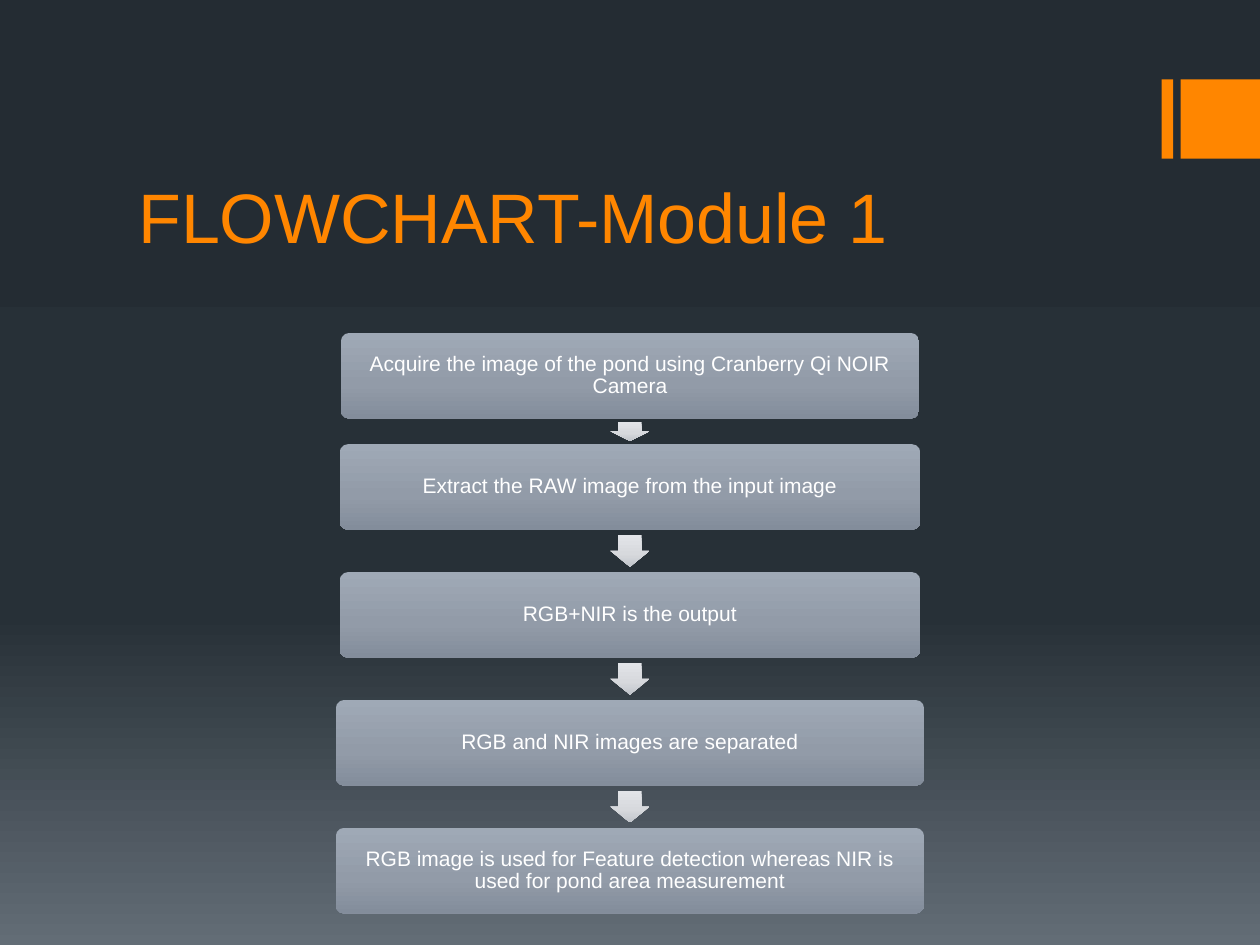
"""Build the Module 1 flowchart slide."""
from dataclasses import dataclass
from itertools import pairwise

from lxml import etree
from pptx import Presentation
from pptx.dml.color import RGBColor
from pptx.dml.fill import FillFormat
from pptx.enum.shapes import MSO_SHAPE
from pptx.enum.text import MSO_ANCHOR, PP_ALIGN
from pptx.oxml.ns import qn
from pptx.shapes.autoshape import Shape
from pptx.slide import Slide
from pptx.text.text import TextFrame
from pptx.util import Inches, Pt

RECTANGLE, ROUNDED, DOWN_ARROW = MSO_SHAPE.RECTANGLE, MSO_SHAPE.ROUNDED_RECTANGLE, MSO_SHAPE.DOWN_ARROW
LEFT, CENTER = PP_ALIGN.LEFT, PP_ALIGN.CENTER
MIDDLE, BOTTOM = MSO_ANCHOR.MIDDLE, MSO_ANCHOR.BOTTOM

COLORS = {"accent": "FF8600", "step_text": "FFFFFF"}
GRADIENTS = {
    "background": {0: "242C33", 65: "273037", 100: "636D76"},
    "step": {0: "9FA9B6", 60: "929BA8", 100: "838D9B"},
    "arrow": {0: "E2E4E8", 60: "D7D9DD", 100: "C1C5CB"},
}
FONT = "Arial"
SLIDE_WIDTH, SLIDE_HEIGHT = 10, 7.5
AXIS = SLIDE_WIDTH / 2
FIRST_ROW, ROW_PITCH = 2.51, 1.015
STEP_HEIGHT = 0.68
ARROW_WIDTH, ARROW_GAP_SHARE = 0.31, 0.75


@dataclass(frozen=True)
class Step:
    """A flowchart step: its wording, grid row and width as a share of the slide."""

    text: str
    row: float
    width_share: float

    @property
    def top(self) -> float:
        """Return the top edge in inches."""
        return FIRST_ROW + self.row * ROW_PITCH

    @property
    def bottom(self) -> float:
        """Return the bottom edge in inches."""
        return self.top + STEP_HEIGHT


STEPS = [
    Step("Acquire the image of the pond using Cranberry Qi NOIR Camera", 0.13, 0.459),
    Step("Extract the RAW image from the input image", 1, 0.461),
    Step("RGB+NIR is the output", 2, 0.461),
    Step("RGB and NIR images are separated", 3, 0.467),
    Step("RGB image is used for Feature detection whereas NIR is used for pond area measurement", 4, 0.467),
]


def paint_gradient(fill: FillFormat, owner: etree.ElementBase, stops: dict[int, str]) -> None:
    """Fill from top to bottom with the given percent stops."""
    fill.gradient()
    fill.gradient_angle = 270
    stop_list = next(owner.iter(qn("a:gsLst")))
    for old_stop in list(stop_list):
        stop_list.remove(old_stop)
    for percent, color in stops.items():
        stop = etree.SubElement(stop_list, qn("a:gs"), pos=str(percent * 1000))
        etree.SubElement(stop, qn("a:srgbClr"), val=color)


def write(frame: TextFrame, text: str, *, size: float, color: str, align: PP_ALIGN,
          anchor: MSO_ANCHOR, inset: tuple[float, float], spacing: float = 1) -> None:
    """Write one formatted paragraph with horizontal and vertical insets."""
    frame.word_wrap = True
    frame.vertical_anchor = anchor
    frame.margin_left = frame.margin_right = Inches(inset[0])
    frame.margin_top = frame.margin_bottom = Inches(inset[1])
    paragraph = frame.paragraphs[0]
    paragraph.alignment = align
    paragraph.line_spacing = spacing
    run = paragraph.add_run()
    run.text = text
    run.font.name = FONT
    run.font.size = Pt(size)
    run.font.color.rgb = RGBColor.from_string(COLORS[color])


def add_plain(slide: Slide, kind: MSO_SHAPE, left: float, top: float,
              width: float, height: float) -> Shape:
    """Add a shape without outline or shadow."""
    shape = slide.shapes.add_shape(kind, Inches(left), Inches(top), Inches(width), Inches(height))
    shape.shadow.inherit = False
    shape.line.fill.background()
    return shape


def add_accent(slide: Slide, left: float, width: float) -> None:
    """Add a bar of the corner accent."""
    bar = add_plain(slide, RECTANGLE, left, 0.63, width, 0.63)
    bar.fill.solid()
    bar.fill.fore_color.rgb = RGBColor.from_string(COLORS["accent"])


def add_step(slide: Slide, step: Step) -> None:
    """Add a step box centred on the flow axis."""
    width = step.width_share * SLIDE_WIDTH
    box = add_plain(slide, ROUNDED, AXIS - width / 2, step.top, width, STEP_HEIGHT)
    box.adjustments[0] = 0.1
    paint_gradient(box.fill, box.element, GRADIENTS["step"])
    write(box.text_frame, step.text, size=12, color="step_text", align=CENTER,
          anchor=MIDDLE, inset=(0.07, 0.07), spacing=0.9)


def add_arrow(slide: Slide, upper: Step, lower: Step) -> None:
    """Add an arrow centred in the gap between two steps."""
    gap = lower.top - upper.bottom
    height = gap * ARROW_GAP_SHARE
    arrow = add_plain(slide, DOWN_ARROW, AXIS - ARROW_WIDTH / 2,
                      upper.bottom + (gap - height) / 2, ARROW_WIDTH, height)
    arrow.adjustments[0] = 0.6
    arrow.adjustments[1] = 0.5
    paint_gradient(arrow.fill, arrow.element, GRADIENTS["arrow"])


def main() -> None:
    """Assemble and save the slide."""
    deck = Presentation()
    deck.slide_width, deck.slide_height = Inches(SLIDE_WIDTH), Inches(SLIDE_HEIGHT)
    slide = deck.slides.add_slide(deck.slide_layouts[6])
    paint_gradient(slide.background.fill, slide.element, GRADIENTS["background"])
    add_accent(slide, 9.22, 0.09)
    add_accent(slide, 9.37, 0.63)
    title = slide.shapes.add_textbox(Inches(1), Inches(0.67), Inches(8), Inches(1.42))
    write(title.text_frame, "FLOWCHART-Module 1", size=40, color="accent", align=LEFT,
          anchor=BOTTOM, inset=(0.1, 0.05))
    for step in STEPS:
        add_step(slide, step)
    for upper, lower in pairwise(STEPS):
        add_arrow(slide, upper, lower)
    deck.save("out.pptx")


if __name__ == "__main__":
    main()
